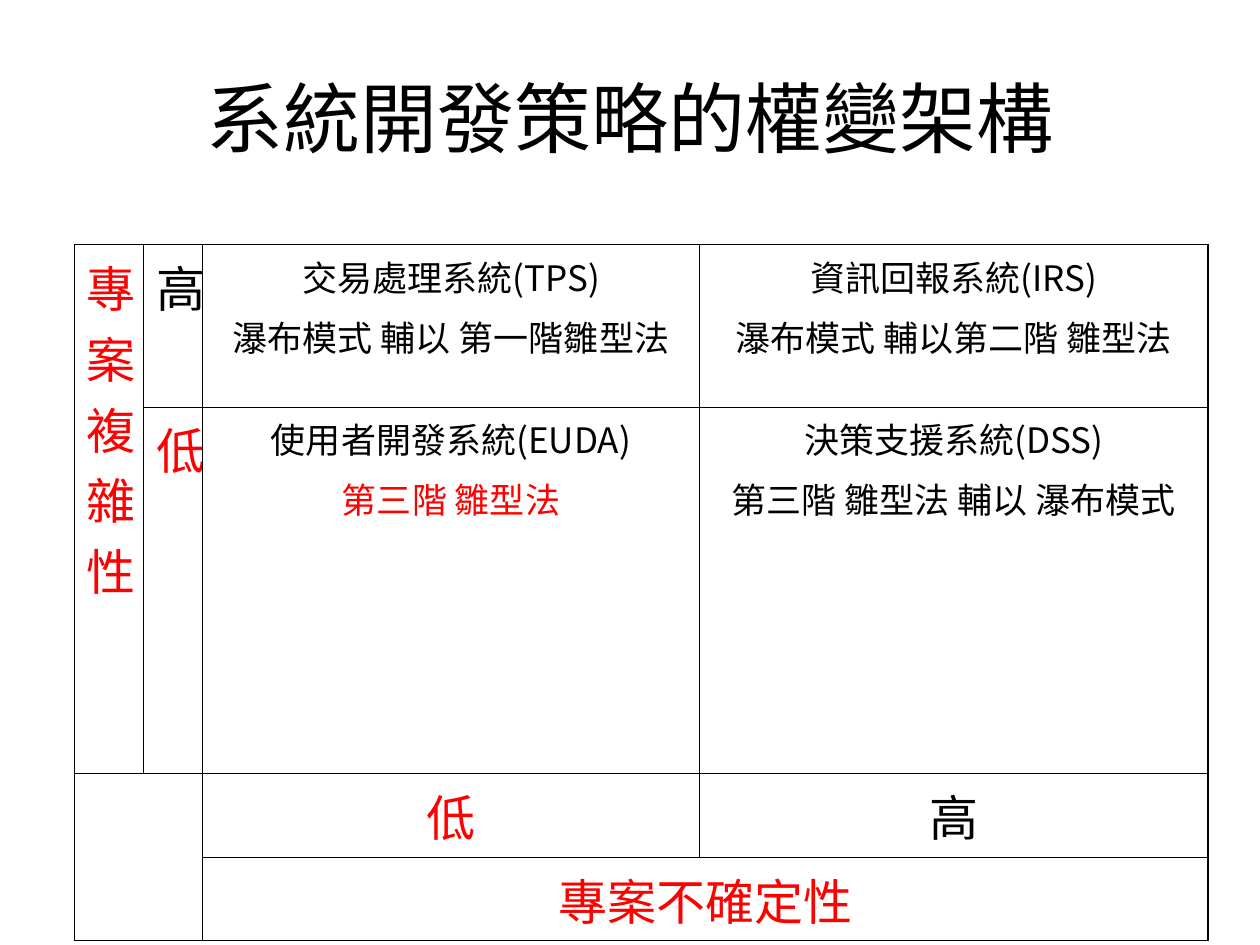
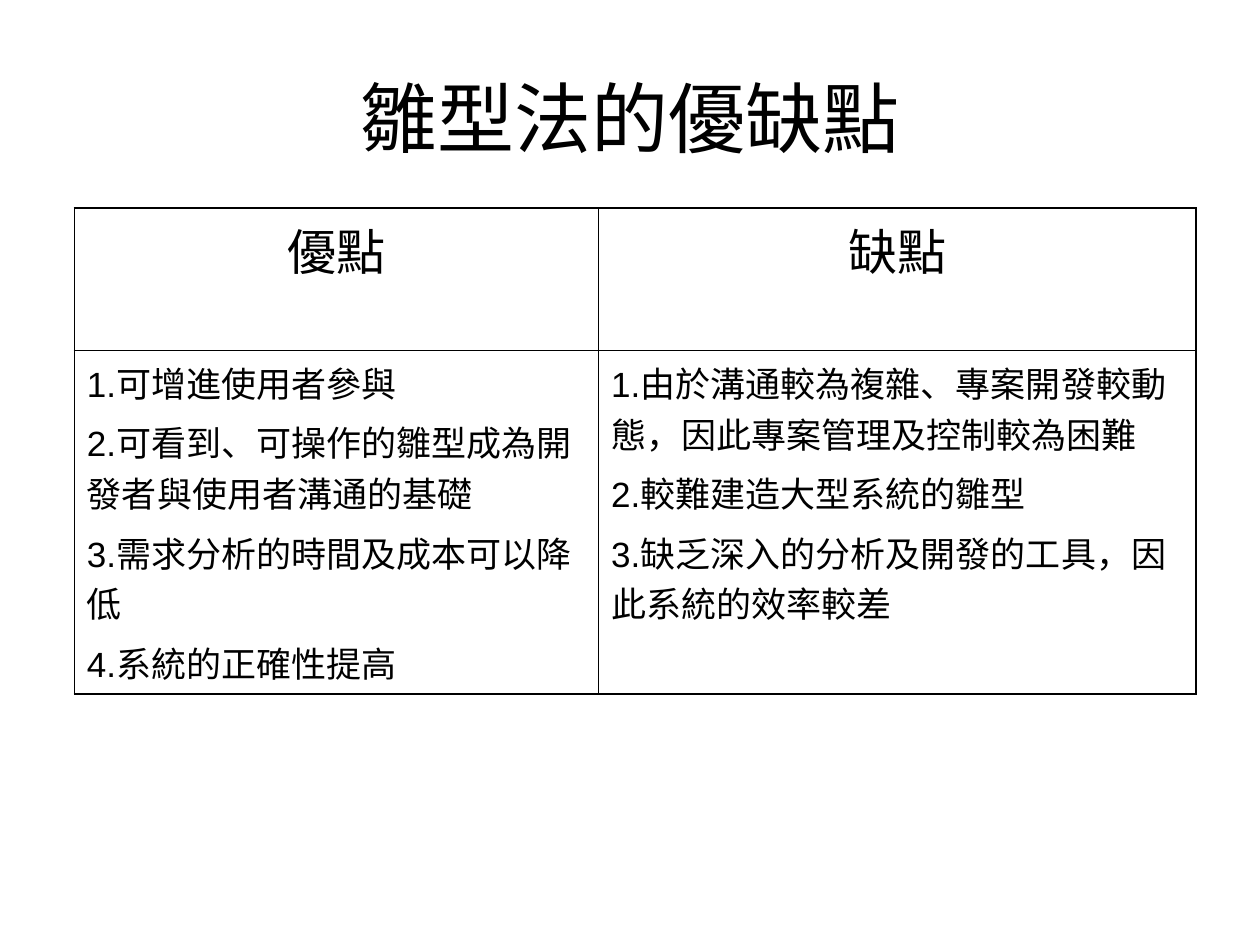
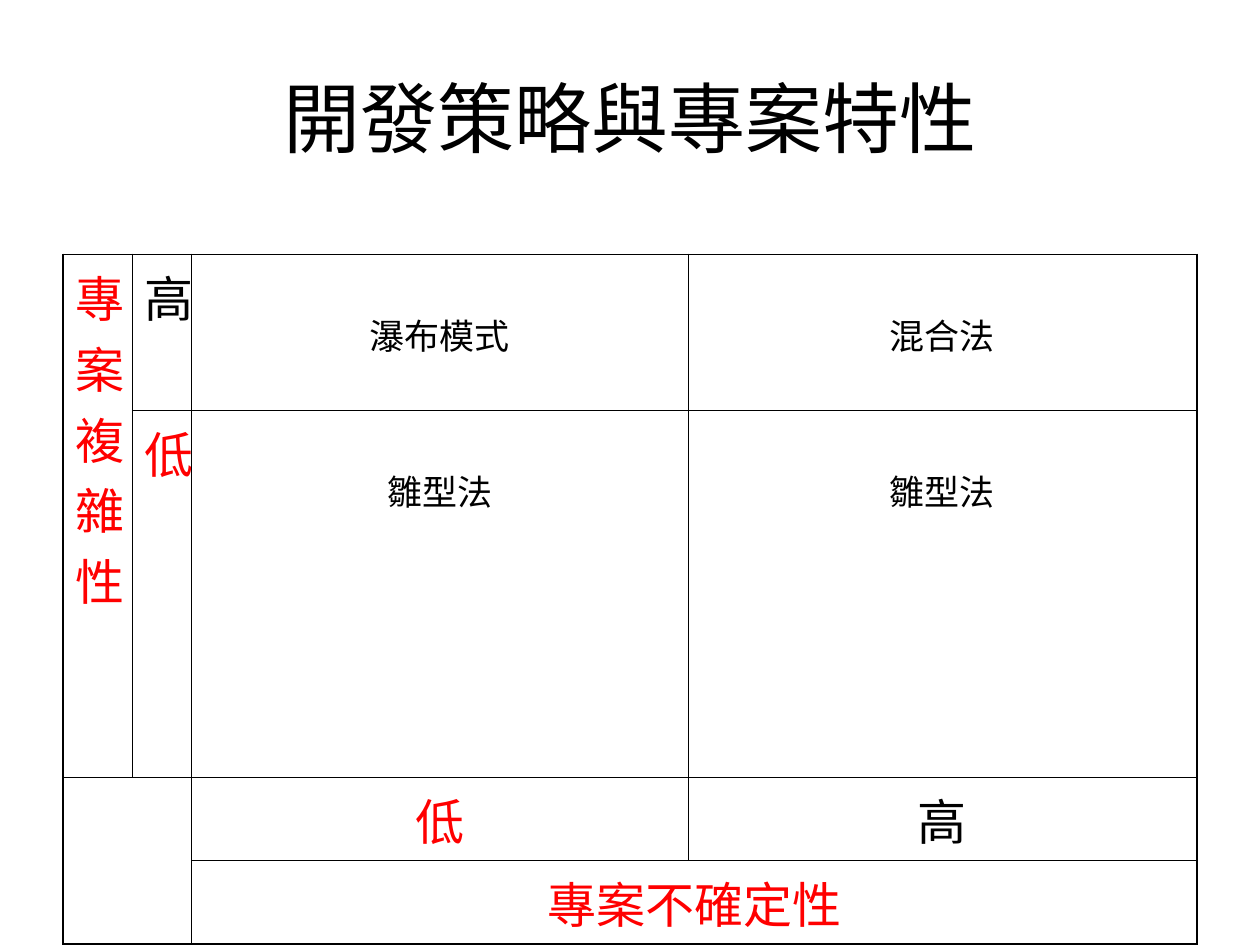
from dataclasses import dataclass

from lxml import etree
from pptx import Presentation
from pptx.dml.color import RGBColor
from pptx.enum.text import MSO_ANCHOR, PP_ALIGN
from pptx.oxml.ns import qn
from pptx.util import Inches, Pt

LEFT, CENTER = PP_ALIGN.LEFT, PP_ALIGN.CENTER
TOP, MIDDLE = MSO_ANCHOR.TOP, MSO_ANCHOR.MIDDLE


@dataclass(frozen=True)
class Theme:
    ink: str = "000000"
    accent: str = "FF0000"
    paper: str = "FFFFFF"
    cjk: str = "Noto Sans CJK SC"
    latin: str = "Arial"
    title: int = 44
    heading: int = 28
    body: int = 20
    outer_line: float = 1.08
    inner_line: float = 0.45


theme = Theme()


def write(frame, lines, size, color=theme.ink, align=CENTER, font=theme.cjk, gap=0):
    """Write one paragraph per line; a line is text or a (text, color) pair."""
    for index, line in enumerate(lines):
        text, line_color = (line, color) if isinstance(line, str) else line
        paragraph = frame.paragraphs[0] if index == 0 else frame.add_paragraph()
        paragraph.alignment = align
        paragraph.space_before = Pt(gap)
        run = paragraph.add_run()
        run.text = text
        run.font.size = Pt(size)
        run.font.name = font
        run.font.color.rgb = RGBColor.from_string(line_color)
        east_asian = etree.SubElement(run.font._element, qn("a:ea"))
        east_asian.set("typeface", theme.cjk)


def add_ruled_table(slide, left, top, widths, heights, merges=()):
    """Add a plain table with a heavier outer frame and thin inner rules."""
    table = slide.shapes.add_table(
        len(heights), len(widths), Inches(left), Inches(top),
        Inches(sum(widths)), Inches(sum(heights))).table
    table.first_row = table.horz_banding = False
    for column, width in zip(table.columns, widths):
        column.width = Inches(width)
    for row, height in zip(table.rows, heights):
        row.height = Inches(height)
    for first, last in merges:
        table.cell(*first).merge(table.cell(*last))

    for r in range(len(heights)):
        for c in range(len(widths)):
            cell = table.cell(r, c)
            cell.vertical_anchor = TOP
            cell.fill.solid()
            cell.fill.fore_color.rgb = RGBColor.from_string(theme.paper)
            down = cell.span_height if cell.is_merge_origin else 1
            across = cell.span_width if cell.is_merge_origin else 1
            on_frame = {"lnL": c == 0, "lnR": c + across == len(widths),
                        "lnT": r == 0, "lnB": r + down == len(heights)}
            properties = cell._tc.get_or_add_tcPr()
            for index, (side, is_outer) in enumerate(on_frame.items()):
                weight = theme.outer_line if is_outer else theme.inner_line
                line = etree.Element(qn(f"a:{side}"), w=str(Pt(weight)))
                fill = etree.SubElement(line, qn("a:solidFill"))
                etree.SubElement(fill, qn("a:srgbClr"), val=theme.ink)
                properties.insert(index, line)
    return table


prs = Presentation()
prs.slide_width, prs.slide_height = Inches(10), Inches(7.5)
title_only = prs.slide_layouts[5]

# Slides and titles
titles = [("系統開發策略的權變架構", theme.cjk),
          ("雛型法的優缺點", theme.latin),
          ("開發策略與專案特性", theme.latin)]
slides = []
for text, font in titles:
    slide = prs.slides.add_slide(title_only)
    title = slide.shapes.title
    title.left, title.top = Inches(0.5), Inches(0.3)
    title.width, title.height = Inches(9), Inches(1.25)
    title.text_frame.vertical_anchor = MIDDLE
    write(title.text_frame, [text], theme.title, font=font)
    slides.append(slide)
contingency, pros_cons, project_traits = slides

# Complexity and uncertainty matrices: quadrants run row by row
strategies = [
    ["交易處理系統(TPS)", "瀑布模式 輔以 第一階雛型法"],
    ["資訊回報系統(IRS)", "瀑布模式 輔以第二階 雛型法"],
    ["使用者開發系統(EUDA)", ("第三階 雛型法", theme.accent)],
    ["決策支援系統(DSS)", "第三階 雛型法 輔以 瀑布模式"],
]
methods = [["瀑布模式"], ["混合法"], ["雛型法"], ["雛型法"]]
axis_labels = [
    (0, 0, "專案複雜性", theme.accent, LEFT),
    (0, 1, "高", theme.ink, CENTER),
    (1, 1, "低", theme.accent, CENTER),
    (2, 2, "低", theme.accent, CENTER),
    (2, 3, "高", theme.ink, CENTER),
    (3, 2, "專案不確定性", theme.accent, CENTER),
]
axis_merges = [((0, 0), (1, 0)), ((2, 0), (3, 1)), ((3, 2), (3, 3))]
matrices = [(contingency, 0.59, 1.94, 1.29, strategies, 0.05),
            (project_traits, 0.5, 2.02, 1.24, methods, 0.43)]

for slide, left, top, high_row, quadrants, inset in matrices:
    matrix = add_ruled_table(slide, left, top, [0.55, 0.47, 3.94, 4.04],
                             [high_row, 2.91, 0.66, 0.66], axis_merges)
    for r, c, label, color, align in axis_labels:
        write(matrix.cell(r, c).text_frame, [label], theme.heading, color, align, gap=7)
    for index, lines in enumerate(quadrants):
        quadrant = matrix.cell(index // 2, 2 + index % 2)
        quadrant.margin_top = Inches(inset)
        write(quadrant.text_frame, lines, theme.body, gap=5)

# Pros and cons of prototyping
comparison = {
    "優點": ["1.可增進使用者參與",
           "2.可看到、可操作的雛型成為開發者與使用者溝通的基礎",
           "3.需求分析的時間及成本可以降低",
           "4.系統的正確性提高"],
    "缺點": ["1.由於溝通較為複雜、專案開發較動態，因此專案管理及控制較為困難",
           "2.較難建造大型系統的雛型",
           "3.缺乏深入的分析及開發的工具，因此系統的效率較差"],
}
comparison_table = add_ruled_table(pros_cons, 0.59, 1.65, [4.16, 4.74], [1.13, 2.72])
for c, (heading, points) in enumerate(comparison.items()):
    write(comparison_table.cell(0, c).text_frame, [heading], theme.heading,
          font=theme.latin, gap=7)
    write(comparison_table.cell(1, c).text_frame, points, theme.body,
          align=LEFT, font=theme.latin, gap=5)

prs.save("out.pptx")
